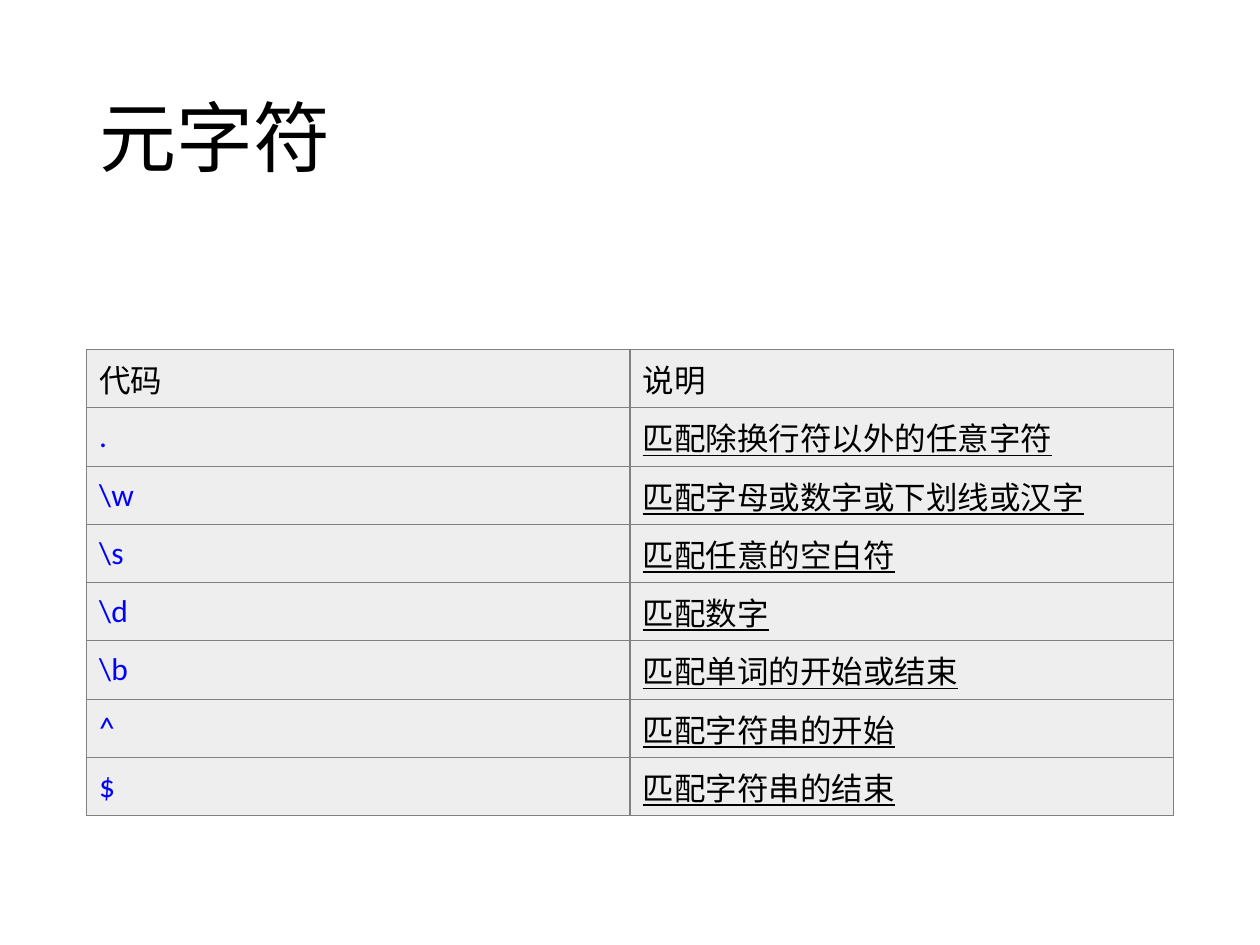
from lxml import etree
from pptx import Presentation
from pptx.dml.color import RGBColor
from pptx.enum.text import MSO_ANCHOR, PP_ALIGN
from pptx.oxml.ns import qn
from pptx.util import Pt

MIDDLE = MSO_ANCHOR.MIDDLE
LEFT = PP_ALIGN.LEFT
BLACK = RGBColor(0x00, 0x00, 0x00)
BLUE = RGBColor(0x00, 0x00, 0xFF)
CELL_GRAY = RGBColor(0xEE, 0xEE, 0xEE)
BORDER_GRAY = RGBColor(0x80, 0x80, 0x80)

FONT = "Calibri"
MARGIN = 49.5
CONTENT_WIDTH = 621
TABLE_TOP = 199.8
ROW_HEIGHT = 28.8

HEADER = ("代码", "说明")
METACHARACTERS = [
    (".", "匹配除换行符以外的任意字符"),
    ("\\w", "匹配字母或数字或下划线或汉字"),
    ("\\s", "匹配任意的空白符"),
    ("\\d", "匹配数字"),
    ("\\b", "匹配单词的开始或结束"),
    ("^", "匹配字符串的开始"),
    ("$", "匹配字符串的结束"),
]


def format_text(tf, size, color, underline=False):
    p = tf.paragraphs[0]
    p.alignment = LEFT
    font = p.runs[0].font
    font.name = FONT
    font.size = Pt(size)
    font.bold = False
    font.underline = underline
    font.color.rgb = color


def add_title(s, text):
    title = s.shapes.title
    title.left, title.top = Pt(MARGIN), Pt(28.75)
    title.width, title.height = Pt(CONTENT_WIDTH), Pt(104.4)
    tf = title.text_frame
    tf.text = text
    tf.vertical_anchor = MIDDLE
    tf.paragraphs[0].line_spacing = 0.9
    format_text(tf, 44, BLACK)


def set_borders(cell):
    tcPr = cell._tc.get_or_add_tcPr()
    for side in ("a:lnL", "a:lnR", "a:lnT", "a:lnB"):
        ln = etree.SubElement(tcPr, qn(side), w=str(Pt(0.75)))
        fill = etree.SubElement(ln, qn("a:solidFill"))
        etree.SubElement(fill, qn("a:srgbClr"), val=str(BORDER_GRAY))


def fill_cell(cell, text, color, underline):
    cell.text_frame.text = text
    cell.vertical_anchor = MIDDLE
    format_text(cell.text_frame, 18, color, underline)
    set_borders(cell)
    cell.fill.solid()
    cell.fill.fore_color.rgb = CELL_GRAY


def add_metacharacter_table(s):
    rows = [HEADER] + METACHARACTERS
    table = s.shapes.add_table(
        len(rows), len(HEADER), Pt(MARGIN), Pt(TABLE_TOP),
        Pt(CONTENT_WIDTH), Pt(ROW_HEIGHT * len(rows)),
    ).table
    for i, (code, meaning) in enumerate(rows):
        is_entry = i > 0
        fill_cell(table.cell(i, 0), code, BLUE if is_entry else BLACK, False)
        fill_cell(table.cell(i, 1), meaning, BLACK, is_entry)


def main():
    prs = Presentation()
    prs.slide_width, prs.slide_height = Pt(720), Pt(540)
    s = prs.slides.add_slide(prs.slide_layouts[5])
    add_title(s, "元字符")
    add_metacharacter_table(s)
    prs.save("out.pptx")


if __name__ == "__main__":
    main()
